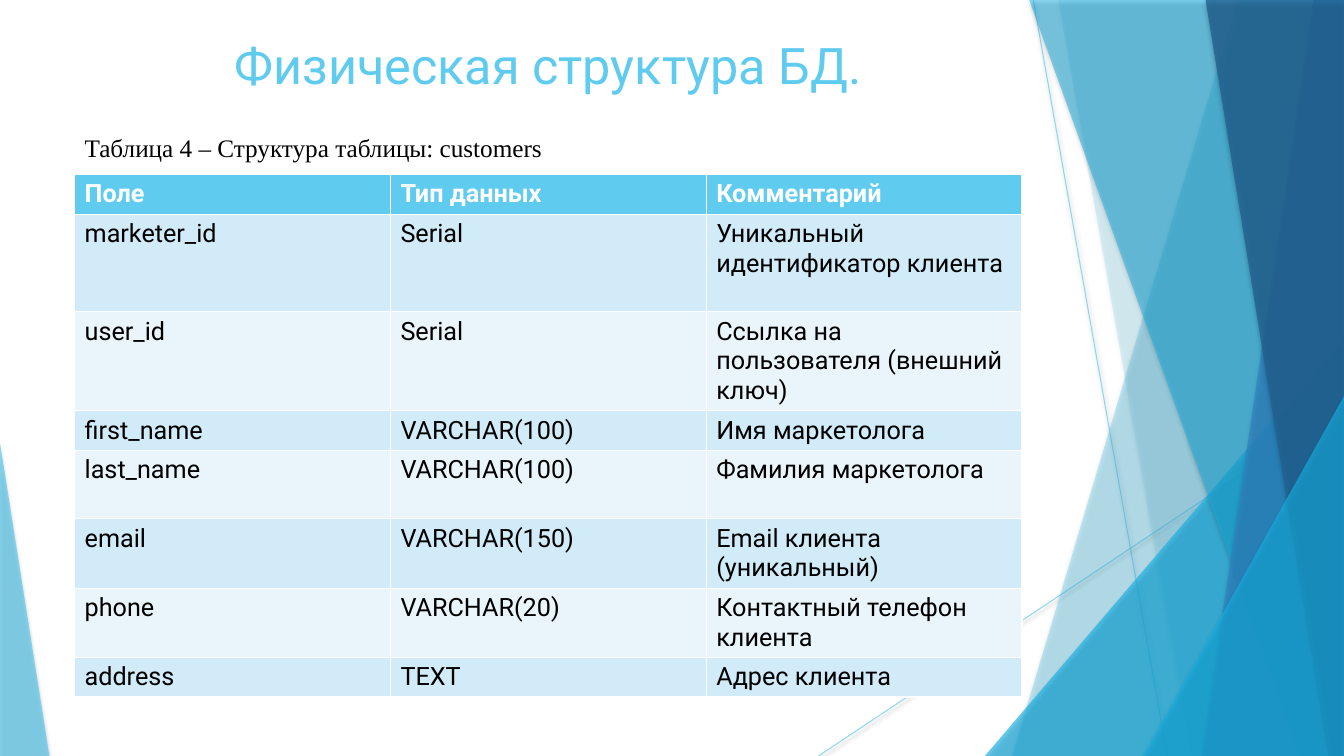
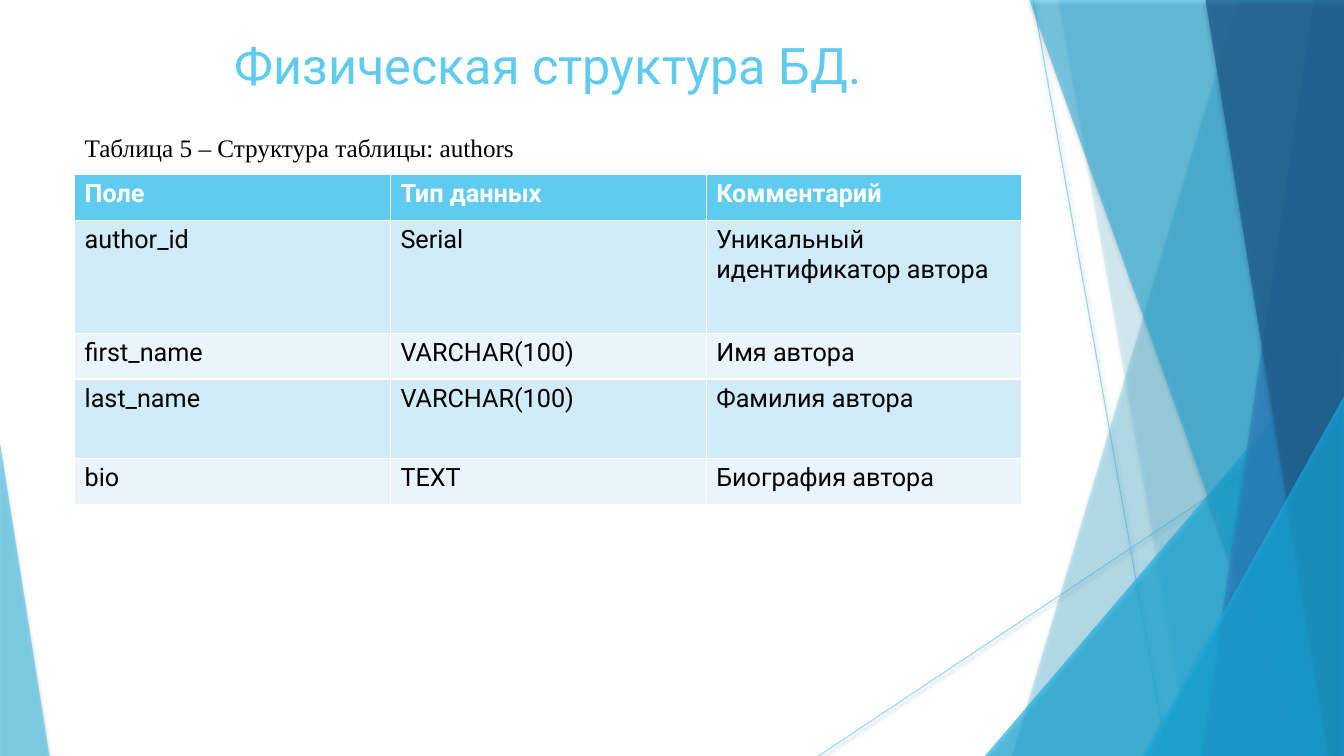
import lxml.etree
import pptx
import pptx.dml.color
import pptx.enum.shapes
import pptx.enum.text
import pptx.oxml.ns
import pptx.util

RGBColor = pptx.dml.color.RGBColor
SKY = RGBColor(0x5F, 0xCB, 0xEF)
CYAN = RGBColor(0x17, 0xB0, 0xE4)
BLUE = RGBColor(0x2E, 0x83, 0xC3)
NAVY = RGBColor(0x22, 0x62, 0x92)
BAND_DARK = RGBColor(0xD2, 0xEB, 0xF8)
BAND_LIGHT = RGBColor(0xEA, 0xF5, 0xFB)
WHITE = RGBColor(0xFF, 0xFF, 0xFF)
BLACK = RGBColor(0, 0, 0)

SLIDE_WIDTH = pptx.util.Inches(13.333)
SLIDE_HEIGHT = pptx.util.Inches(7.5)
MARGIN = 5.55
CONTENT_WIDTH = 70.5
SANS = "Roboto"
SERIF = "Times New Roman"

TITLE = "Физическая структура БД."
HEADINGS = ("Поле", "Тип данных", "Комментарий")

RAYS = (((76.88, 0), (86.85, 100)), ((100, 53.73), (60.9, 100)))
BACK_SHARDS = ((92.1, 75.3, SKY, 36), (78.75, 88.65, SKY, 20))
FRONT_SHARDS = (
    (76.58, 96.83, CYAN, 50),
    (97.72, 89.4, BLUE, 70),
    (89.7, 98.85, NAVY, 80),
)

TABLES = (
    {
        "caption": "Таблица 4 – Структура таблицы: customers",
        "heading_height": 5.2,
        "fields": (
            (12.93, "marketer_id", "Serial", "Уникальный идентификатор клиента"),
            (12.93, "user_id", "Serial", "Ссылка на пользователя (внешний ключ)"),
            (5.2, "first_name", "VARCHAR(100)", "Имя маркетолога"),
            (9.07, "last_name", "VARCHAR(100)", "Фамилия маркетолога"),
            (9.07, "email", "VARCHAR(150)", "Email клиента (уникальный)"),
            (9.07, "phone", "VARCHAR(20)", "Контактный телефон клиента"),
            (5.2, "address", "TEXT", "Адрес клиента"),
        ),
    },
    {
        "caption": "Таблица 5 – Структура таблицы: authors",
        "heading_height": 6.07,
        "fields": (
            (14.93, "author_id", "Serial", "Уникальный идентификатор автора"),
            (6.07, "first_name", "VARCHAR(100)", "Имя автора"),
            (10.53, "last_name", "VARCHAR(100)", "Фамилия автора"),
            (6.07, "bio", "TEXT", "Биография автора"),
        ),
    },
)


def across(percent):
    """Return a share of the slide's width."""
    return pptx.util.Emu(round(SLIDE_WIDTH * percent / 100))


def down(percent):
    """Return a share of the slide's height."""
    return pptx.util.Emu(round(SLIDE_HEIGHT * percent / 100))


def add_child(parent, tag, **attributes):
    """Append a drawing element to an XML parent."""
    return lxml.etree.SubElement(parent, pptx.oxml.ns.qn(tag), **attributes)


def add_glass_effect(shape, opacity, shadow_opacity, blur, distance):
    """Make the shape's colour translucent and drop a soft shadow below it."""
    properties = shape.element.spPr
    colour = properties.find(".//" + pptx.oxml.ns.qn("a:srgbClr"))
    add_child(colour, "a:alpha", val=str(opacity * 1000))
    shadow = add_child(
        add_child(properties, "a:effectLst"),
        "a:outerShdw",
        blurRad=str(pptx.util.Pt(blur)),
        dist=str(pptx.util.Pt(distance)),
        dir="5400000",
        rotWithShape="0",
    )
    shadow_colour = add_child(shadow, "a:srgbClr", val=str(BLACK))
    add_child(shadow_colour, "a:alpha", val=str(shadow_opacity * 1000))


def style_glass(shape, colour, opacity):
    """Give a shape a translucent fill without an outline."""
    shape.fill.solid()
    shape.fill.fore_color.rgb = colour
    shape.line.fill.background()
    add_glass_effect(shape, opacity, 35, 3, 2)


def add_ray(shapes, begin, end):
    """Draw a thin translucent line between two points."""
    ray = shapes.add_connector(
        pptx.enum.shapes.MSO_CONNECTOR.STRAIGHT,
        across(begin[0]), down(begin[1]), across(end[0]), down(end[1]),
    )
    ray.line.color.rgb = SKY
    ray.line.width = pptx.util.Pt(0.75)
    add_glass_effect(ray, 70, 38, 3.1, 1.6)


def add_shard(shapes, top, bottom, colour, opacity):
    """Fill the area between a slanted edge and the slide's right side."""
    builder = shapes.build_freeform(across(top), 0)
    builder.add_line_segments(
        [(SLIDE_WIDTH, 0), (SLIDE_WIDTH, SLIDE_HEIGHT), (across(bottom), SLIDE_HEIGHT)]
    )
    style_glass(builder.convert_to_shape(), colour, opacity)


def add_corner(shapes, left, right, top, apex, colour, opacity):
    """Draw a right triangle that stands on the slide's bottom edge."""
    corner = shapes.add_shape(
        pptx.enum.shapes.MSO_SHAPE.ISOSCELES_TRIANGLE,
        across(left), down(top), across(right - left), down(100 - top),
    )
    corner.adjustments[0] = apex
    style_glass(corner, colour, opacity)


def prepare_layout(layout, slide):
    """Place the title and the shared backdrop on the layout."""
    for placeholder in list(layout.placeholders):
        if placeholder.placeholder_format.idx:
            layout.shapes.element.remove(placeholder.element)
    title = layout.placeholders[0]
    title.left, title.top = across(MARGIN), down(3.87)
    title.width, title.height = across(CONTENT_WIDTH), down(19.2)

    backdrop = slide.shapes.add_group_shape()
    for begin, end in RAYS:
        add_ray(backdrop.shapes, begin, end)
    for shard in BACK_SHARDS:
        add_shard(backdrop.shapes, *shard)
    add_corner(backdrop.shapes, 73.28, 100, 44.4, 1, CYAN, 66)
    for shard in FRONT_SHARDS:
        add_shard(backdrop.shapes, *shard)
    add_corner(backdrop.shapes, 85.05, 100, 52.4, 1, CYAN, 66)
    add_corner(backdrop.shapes, 0, 3.68, 58.53, 0, SKY, 70)
    layout.shapes.element.insert(2, backdrop.element)


def write_text(frame, text, size, name, colour, bold=False):
    """Write one paragraph and set its font."""
    frame.text = text
    paragraph = frame.paragraphs[0]
    paragraph.font.size = pptx.util.Pt(size)
    paragraph.font.name = name
    paragraph.font.color.rgb = colour
    paragraph.font.bold = bold
    return paragraph


def add_title(slide):
    """Fill the title placeholder."""
    frame = slide.shapes.title.text_frame
    paragraph = write_text(frame, TITLE, 36, SANS, SKY)
    paragraph.alignment = pptx.enum.text.PP_ALIGN.CENTER
    frame.vertical_anchor = pptx.enum.text.MSO_ANCHOR.TOP


def add_field_table(slide, heading_height, fields):
    """Add a table of database fields with banded rows."""
    rows = ((heading_height, *HEADINGS), *fields)
    table = slide.shapes.add_table(
        len(rows), len(HEADINGS),
        across(MARGIN), down(23.07),
        across(CONTENT_WIDTH), down(sum(row[0] for row in rows)),
    ).table
    for row_index, (height, *texts) in enumerate(rows):
        table.rows[row_index].height = down(height)
        heading = row_index == 0
        band = BAND_DARK if row_index % 2 else BAND_LIGHT
        for column_index, text in enumerate(texts):
            cell = table.cell(row_index, column_index)
            cell.fill.solid()
            cell.fill.fore_color.rgb = SKY if heading else band
            write_text(cell.text_frame, text, 18, SANS, WHITE if heading else BLACK, heading)


def add_caption(slide, text):
    """Add the caption above the table."""
    box = slide.shapes.add_textbox(across(MARGIN), down(16.8), across(50), down(5.33))
    box.text_frame.word_wrap = True
    write_text(box.text_frame, text, 18, SERIF, BLACK)


def main():
    """Build and save the presentation."""
    presentation = pptx.Presentation()
    presentation.slide_width = SLIDE_WIDTH
    presentation.slide_height = SLIDE_HEIGHT
    layout = presentation.slide_layouts.get_by_name("Title Only")
    slides = [presentation.slides.add_slide(layout) for _ in TABLES]
    prepare_layout(layout, slides[0])
    for slide, content in zip(slides, TABLES):
        add_title(slide)
        add_field_table(slide, content["heading_height"], content["fields"])
        add_caption(slide, content["caption"])
    presentation.save("out.pptx")


if __name__ == "__main__":
    main()
